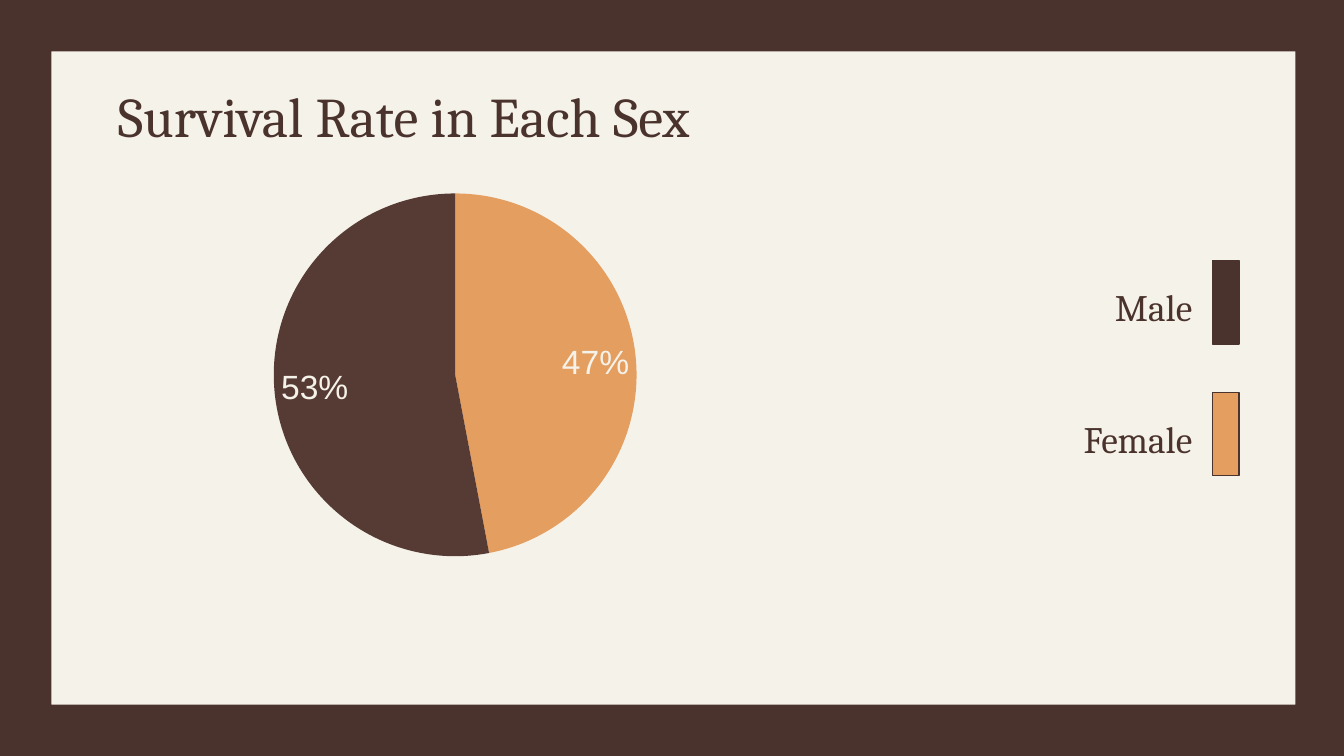
from dataclasses import dataclass

from lxml import etree
from pptx import Presentation
from pptx import util as u
from pptx.chart import data as chart_data
from pptx.dml.color import RGBColor
from pptx.enum import chart as charts
from pptx.enum import shapes, text
from pptx.oxml import ns


@dataclass(frozen=True)
class Theme:
    cream: RGBColor = RGBColor.from_string("F5F2EA")
    brown: RGBColor = RGBColor.from_string("4A332D")
    male_slice: RGBColor = RGBColor.from_string("563B34")
    orange: RGBColor = RGBColor.from_string("E49E60")
    text_font: str = "Cambria"
    chart_font: str = "Arial"
    title_size: int = 30
    legend_size: int = 20
    percent_size: int = 18
    chart_size: int = 10


class SlideBuilder:
    def __init__(self, slide, theme):
        self.slide = slide
        self.theme = theme

    def background(self):
        fill = self.slide.background.fill
        fill.solid()
        fill.fore_color.rgb = self.theme.cream

    def box(self, kind, place, color, outlined=False):
        shape = self.slide.shapes.add_shape(kind, *map(u.Inches, place))
        shape.shadow.inherit = False
        shape.fill.solid()
        shape.fill.fore_color.rgb = color
        if outlined:
            shape.line.color.rgb = self.theme.brown
            shape.line.width = u.Pt(0.75)
        else:
            shape.line.fill.background()
        return shape

    def label(self, words, place, size, align=text.PP_ALIGN.LEFT,
              anchor=text.MSO_ANCHOR.TOP):
        shape = self.slide.shapes.add_textbox(*map(u.Inches, place))
        frame = shape.text_frame
        frame.word_wrap = True
        frame.vertical_anchor = anchor
        frame.margin_left = frame.margin_right = u.Inches(0.1)
        frame.margin_top = frame.margin_bottom = u.Inches(0.1)
        frame.text = words
        paragraph = frame.paragraphs[0]
        paragraph.alignment = align
        self.style_font(paragraph.runs[0].font, self.theme.text_font, size, self.theme.brown)

    def style_font(self, font, name, size, color):
        font.name = name
        font.size = u.Pt(size)
        font.color.rgb = color

    def pie(self, values, colors, place, plot):
        theme = self.theme
        data = chart_data.CategoryChartData()
        data.categories = [str(i + 1) for i in range(len(values))]
        data.add_series("Series 1", values)
        chart = self.slide.shapes.add_chart(
            charts.XL_CHART_TYPE.PIE, *map(u.Inches, place), data).chart
        chart.has_legend = False
        chart.has_title = False
        self.style_font(chart.font, theme.chart_font, theme.chart_size, theme.brown)

        pie_plot = chart.plots[0]
        pie_plot.vary_by_categories = True
        series = pie_plot.series[0]
        for i, color in enumerate(colors):
            fill = series.points[i].format.fill
            fill.solid()
            fill.fore_color.rgb = color

        labels = series.data_labels
        labels.show_percentage = True
        labels.show_value = False
        labels.number_format = "0%"
        labels.number_format_is_linked = False
        labels.position = charts.XL_LABEL_POSITION.BEST_FIT
        self.style_font(labels.font, theme.chart_font, theme.percent_size, theme.cream)
        self.place_plot(chart, plot)

    def place_plot(self, chart, plot):
        area = chart.element.find(".//" + ns.qn("c:plotArea"))
        layout = area.find(ns.qn("c:layout"))
        if layout is None:
            layout = etree.Element(ns.qn("c:layout"))
            area.insert(0, layout)
        manual = etree.SubElement(layout, ns.qn("c:manualLayout"))
        settings = [("layoutTarget", "inner"), ("xMode", "edge"), ("yMode", "edge")]
        settings += zip("xywh", plot)
        for tag, value in settings:
            etree.SubElement(manual, ns.qn("c:" + tag)).set("val", str(value))


def main():
    theme = Theme()
    presentation = Presentation()
    # Widescreen, 16:9
    presentation.slide_width = u.Inches(10)
    presentation.slide_height = u.Inches(10 * 9 / 16)
    slide = presentation.slides.add_slide(presentation.slide_layouts[6])
    builder = SlideBuilder(slide, theme)

    # Background and border
    builder.background()
    border = builder.box(shapes.MSO_SHAPE.FRAME, (0, 0, 10.02, 10 * 9 / 16), theme.brown)
    border.adjustments[0] = 0.068

    # Title
    builder.label("Survival Rate in Each Sex", (0.78, 0.51, 8.44, 0.62), theme.title_size)

    # Legend
    legend = [("Male", theme.brown), ("Female", theme.orange)]
    for row, (name, color) in enumerate(legend):
        top = 1.94 + row * 0.98
        builder.label(name, (6.66, top + 0.22, 2.31, 0.39), theme.legend_size,
                      text.PP_ALIGN.RIGHT, text.MSO_ANCHOR.BOTTOM)
        builder.box(shapes.MSO_SHAPE.RECTANGLE, (9.02, top, 0.2, 0.62), color, outlined=True)

    # Pie chart
    builder.pie((47, 53), (theme.orange, theme.male_slice),
                place=(1.03, 1.26, 4.86, 3), plot=(0.18, 0.06, 0.61, 0.9))

    presentation.save("out.pptx")


if __name__ == "__main__":
    main()
